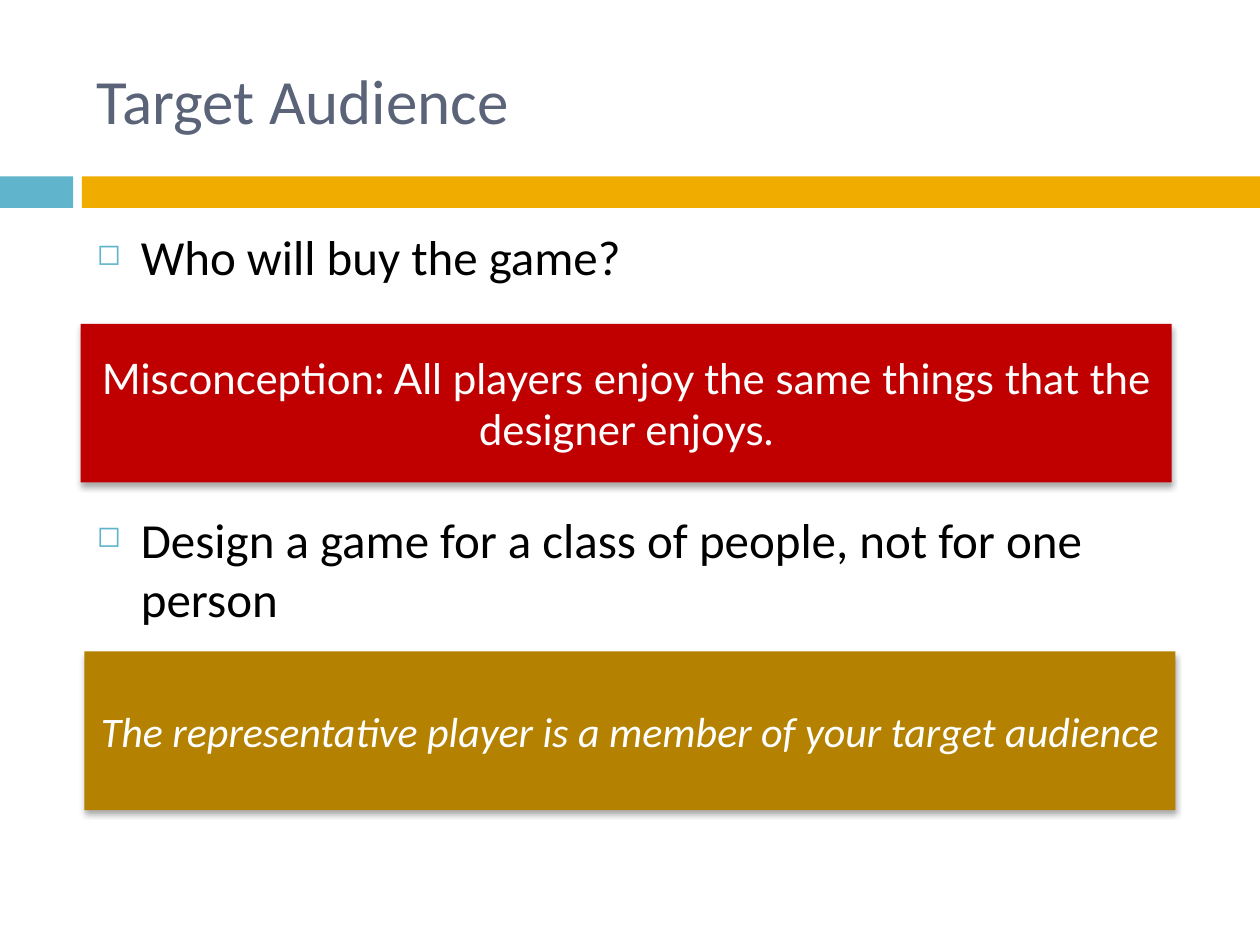
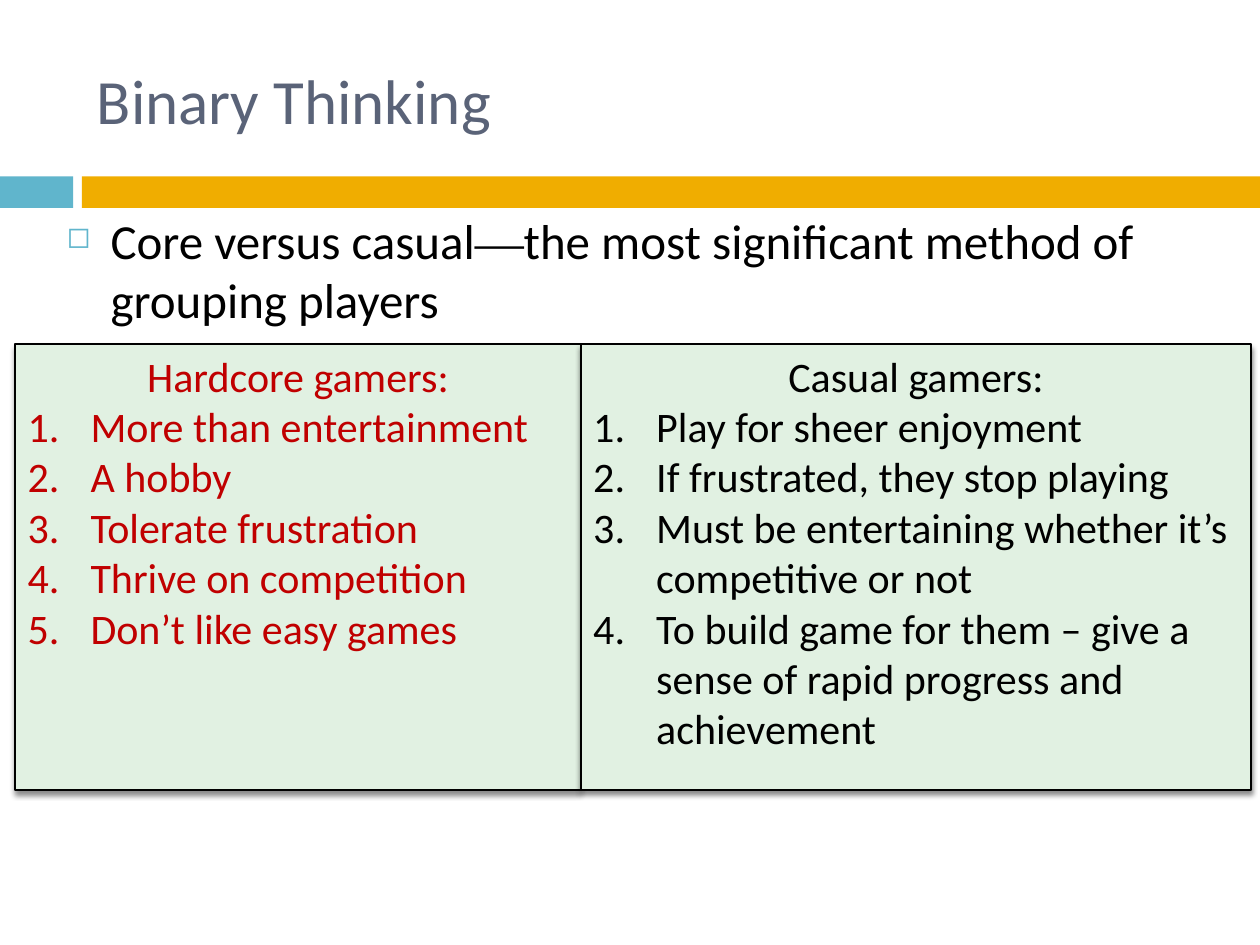
import pptx
import pptx.dml.color
import pptx.enum.shapes
import pptx.enum.text
import pptx.oxml.ns
import pptx.util
from lxml import etree

Inches = pptx.util.Inches
Pt = pptx.util.Pt
Align = pptx.enum.text.PP_ALIGN
Anchor = pptx.enum.text.MSO_ANCHOR

SKY, AMBER, SLATE = "60B5CC", "F0AD00", "5A6378"
RED, OCHRE, MINT = "C00000", "B48200", "E1F1E2"
BLACK, WHITE = "000000", "FFFFFF"
FONT = "Calibri"
TITLE_BOX = (0.67, 0.25, 8.92, 1.08)
BAND_TOP, BAND_HEIGHT = 1.4, 0.25
BANDS = ((0, 0.58, SKY), (0.65, 9.35, AMBER))
BANNER_SHADOW = (32, 3.5, 2.2)
PANEL_SHADOW = (45, 3, 2.4)


def color(value):
    """Turn a hex string into a colour."""
    return pptx.dml.color.RGBColor.from_string(value)


def add_child(parent, tag, **attributes):
    """Append a drawing element with its attributes."""
    child = etree.SubElement(parent, pptx.oxml.ns.qn(tag))
    for key, value in attributes.items():
        child.set(key, str(value))
    return child


def add_marker(paragraph, marker, indent):
    """Give a paragraph a hanging square bullet or a number."""
    properties = paragraph._p.get_or_add_pPr()
    properties.set("marL", str(Inches(indent)))
    properties.set("indent", str(-Inches(indent)))
    if marker == "number":
        add_child(properties, "a:buFont", typeface="+mj-lt")
        add_child(properties, "a:buAutoNum", type="arabicPeriod")
    else:
        add_child(add_child(properties, "a:buClr"), "a:srgbClr", val=SKY)
        add_child(properties, "a:buSzPct", val=60000)
        add_child(properties, "a:buChar", char=marker)


def write(frame, text, size=24, ink=BLACK, font=FONT, italic=False,
          align=Align.LEFT, before=0, marker=None, indent=0.5):
    """Write one paragraph, given as a string or as (text, font) pairs."""
    paragraph = frame.paragraphs[0]
    if paragraph.runs:
        paragraph = frame.add_paragraph()
    paragraph.alignment = align
    paragraph.space_before = Pt(before)
    if marker:
        add_marker(paragraph, marker, indent)
    for words, face in [(text, font)] if isinstance(text, str) else text:
        run = paragraph.add_run()
        run.text = words
        run.font.size = Pt(size)
        run.font.name = face
        run.font.italic = italic
        run.font.color.rgb = color(ink)


def add_text_frame(slide, box, anchor=Anchor.TOP):
    """Add a wrapping text box and return its frame."""
    frame = slide.shapes.add_textbox(*map(Inches, box)).text_frame
    frame.word_wrap = True
    frame.vertical_anchor = anchor
    return frame


def add_rectangle(slide, box, fill, outline=None, shadow=None):
    """Add a filled rectangle with optional outline and downward shadow."""
    rectangle = slide.shapes.add_shape(
        pptx.enum.shapes.MSO_SHAPE.RECTANGLE, *map(Inches, box))
    rectangle.fill.solid()
    rectangle.fill.fore_color.rgb = color(fill)
    if outline:
        rectangle.line.color.rgb = color(outline)
        rectangle.line.width = Pt(0.79)
    else:
        rectangle.line.fill.background()
    rectangle.shadow.inherit = False
    if shadow:
        opacity, blur, distance = shadow
        effects = rectangle._element.spPr.find(pptx.oxml.ns.qn("a:effectLst"))
        drop = add_child(effects, "a:outerShdw", blurRad=Pt(blur),
                         dist=Pt(distance), dir=5400000, rotWithShape=0)
        tint = add_child(drop, "a:srgbClr", val=BLACK)
        add_child(tint, "a:alpha", val=opacity * 1000)
    return rectangle


def add_titled_slide(deck, title):
    """Start a slide with the colour bands and a title."""
    slide = deck.slides.add_slide(deck.slide_layouts[6])
    for left, width, fill in BANDS:
        add_rectangle(slide, (left, BAND_TOP, width, BAND_HEIGHT), fill)
    write(add_text_frame(slide, TITLE_BOX, Anchor.MIDDLE), title,
          size=36, ink=SLATE)
    return slide


def add_points(slide, box, points):
    """Add square-bulleted points, each with its space before."""
    frame = add_text_frame(slide, box)
    for text, before in points:
        write(frame, text, size=28, before=before, marker="◻", indent=0.35)


def add_banner(slide, box, text, fill, **text_format):
    """Add a shadowed banner with centred white text."""
    frame = add_rectangle(slide, box, fill, shadow=BANNER_SHADOW).text_frame
    frame.word_wrap = True
    frame.vertical_anchor = Anchor.MIDDLE
    write(frame, text, ink=WHITE, align=Align.CENTER, **text_format)


def add_gamer_panel(slide, box, heading, traits, ink, wrap):
    """Add an outlined panel with a heading over numbered traits."""
    frame = add_rectangle(slide, box, MINT, BLACK, PANEL_SHADOW).text_frame
    frame.word_wrap = wrap
    frame.vertical_anchor = Anchor.TOP
    write(frame, heading, ink=ink, align=Align.CENTER)
    for trait in traits:
        write(frame, trait, ink=ink, marker="number")


def build_target_audience(deck):
    """Build the slide on who the game is for."""
    slide = add_titled_slide(deck, "Target Audience")
    add_points(slide, (0.67, 1.75, 8.92, 4.92), [
        ("Who will buy the game?", 7),
        ("Design a game for a class of people, not for one person", 128),
    ])
    add_banner(slide, (0.64, 2.57, 8.66, 1.26),
               "Misconception: All players enjoy the same things "
               "that the designer enjoys.", RED, font="Lato")
    add_banner(slide, (0.67, 5.17, 8.66, 1.26),
               "The representative player is a member of your target audience",
               OCHRE, italic=True)


def build_binary_thinking(deck):
    """Build the slide that sets hardcore against casual gamers."""
    slide = add_titled_slide(deck, "Binary Thinking")
    add_points(slide, (0.43, 1.62, 9.34, 5.36), [
        ([("Core versus casual", FONT), ("—", "Times New Roman"),
          ("the most significant method of grouping players", FONT)], 7),
    ])
    left, top, height = 0.12, 2.73, 3.54
    panels = (
        (4.49, "Hardcore gamers:", RED, False, (
            "More than entertainment", "A hobby", "Tolerate frustration",
            "Thrive on competition", "Don’t like easy games")),
        (5.32, "Casual gamers:", BLACK, True, (
            "Play for sheer enjoyment", "If frustrated, they stop playing",
            "Must be entertaining whether it’s competitive or not",
            "To build game for them – give a sense of rapid progress "
            "and achievement")),
    )
    for width, heading, ink, wrap, traits in panels:
        add_gamer_panel(slide, (left, top, width, height), heading, traits,
                        ink, wrap)
        left += width


def main():
    """Build both slides and save the deck."""
    deck = pptx.Presentation()
    deck.slide_width, deck.slide_height = Inches(10), Inches(7.5)
    build_target_audience(deck)
    build_binary_thinking(deck)
    deck.save("out.pptx")


if __name__ == "__main__":
    main()
